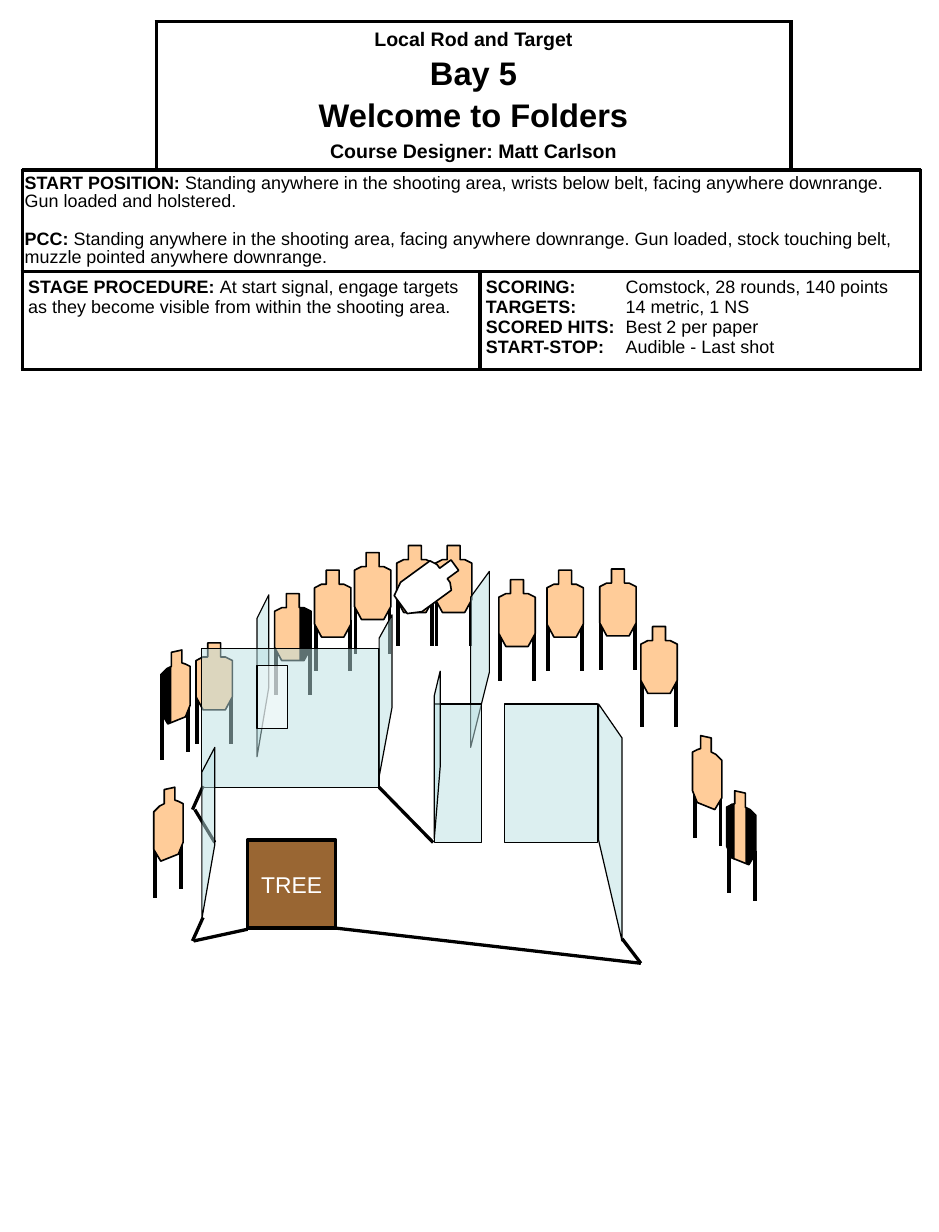
from lxml import etree
from pptx import Presentation
from pptx.dml.color import RGBColor
from pptx.enum import shapes as kinds, text
from pptx.oxml import ns
from pptx.util import Inches, Pt

BLACK = RGBColor(0x00, 0x00, 0x00)
WHITE = RGBColor(0xFF, 0xFF, 0xFF)
TAN = RGBColor(0xFF, 0xCC, 0x99)
GLASS = RGBColor(0xBB, 0xE0, 0xE3)
BROWN = RGBColor(0x99, 0x66, 0x33)
FONT = "Arial"

# Table content: paragraphs of (bold part, plain part, size, space before)
HEADING = [("Local Rod and Target", "", 12, 0), ("Bay 5", "", 20, 3.5),
           ("Welcome to Folders", "", 20, 3.5),
           ("Course Designer: Matt Carlson", "", 12, 3.5)]
START = [("START POSITION:", " Standing anywhere in the shooting area, wrists below belt, "
          "facing anywhere downrange. Gun loaded and holstered.", 11, 0),
         ("PCC: ", "Standing anywhere in the shooting area, facing anywhere downrange. "
          "Gun loaded, stock touching belt, muzzle pointed anywhere downrange.", 11, 12.5)]
PROCEDURE = [("STAGE PROCEDURE: ", "At start signal, engage targets as they become "
              "visible from within the shooting area.", 11, 0)]
SCORING = [(label, "\t" + value, 11, 0) for label, value in (
    ("SCORING:", "Comstock, 28 rounds, 140 points"), ("TARGETS:", "14 metric, 1 NS"),
    ("SCORED HITS:", "Best 2 per paper"), ("START-STOP:", "Audible - Last shot"))]
COLUMNS, ROWS = (1.14, 2.76, 2.65, 1.1), (1.27, 0.86, 0.83)
# (row, first column, last column, paragraphs, margins, paragraph format)
CELLS = [
    (0, 1, 2, HEADING, (0.05, 0.05), {"alignment": text.PP_ALIGN.CENTER}),
    (1, 0, 3, START, (0.02, 0.04), {"line_spacing": 0.9}),
    (2, 0, 1, PROCEDURE, (0.05, 0.05), {}),
    (2, 2, 3, SCORING, (0.05, 0.05), {}),
]

# Target outlines and legs (x, top, bottom), measured from the target's corner
FRONT = [(0.1, 0), (0.21, 0), (0.21, 0.12), (0.25, 0.12), (0.31, 0.15), (0.31, 0.46),
         (0.25, 0.57), (0.06, 0.57), (0, 0.46), (0, 0.15), (0.06, 0.12), (0.1, 0.12)]
FRONT_LEGS = [(0.01, 0.42, 0.86), (0.3, 0.42, 0.86)]
TURNED = [(0.09, 0.02), (0.18, 0), (0.18, 0.11), (0.21, 0.12), (0.25, 0.14), (0.25, 0.47),
          (0.21, 0.57), (0.06, 0.63), (0, 0.53), (0, 0.21), (0.05, 0.16), (0.09, 0.14)]
TURNED_LEGS = [(0.01, 0.51, 0.94), (0.23, 0.44, 0.87)]
TURNED_WIDTH = 0.25
# Hard cover painted on a target
FRONT_EDGE = [(0.21, 0.12), (0.21, 0.57), (0.25, 0.57), (0.31, 0.46), (0.31, 0.15), (0.25, 0.12)]
TURNED_NEAR = [(0, 0.54), (0.06, 0.63), (0.09, 0.62), (0.09, 0.14), (0.06, 0.15), (0, 0.22)]
TURNED_FAR = [(0.18, 0.11), (0.21, 0.11), (0.25, 0.15), (0.25, 0.47), (0.21, 0.57), (0.18, 0.59)]

# Stage parts from back to front
STAGE = [
    ("front", 2.34, 5.06, FRONT_EDGE),
    ("front", 3.71, 4.65),
    ("side wall", (4.01, 5.09, 6.37), (4.17, 4.87, 5.73)),
    ("front", 2.68, 4.86),
    ("front", 3.02, 4.71),
    ("front", 1.67, 5.48),
    ("side wall", (2.19, 5.27, 6.45), (2.29, 5.07, 5.86)),
    ("box", (2.11, 7.16, 0.75, 0.75), BROWN, 100, 2.25, "TREE"),
    ("box", (1.72, 5.53, 1.51, 1.18), GLASS, 50, 0.75, ""),
    ("box", (2.19, 5.67, 0.26, 0.54), WHITE, 50, 0.75, ""),
    ("turned", 1.31, 6.71),
    ("fault line", (1.64, 8.02), (1.73, 7.82)),
    ("fault line", (2.11, 7.92), (1.65, 8.02)),
    ("fault line", (1.64, 6.9), (1.73, 6.7)),
    ("fault line", (1.66, 6.9), (1.83, 7.18)),
    ("side wall", (1.72, 6.58, 7.83), (1.83, 6.37, 7.2)),
    ("side wall", (3.23, 5.44, 6.62), (3.34, 5.24, 6.03)),
    ("box", (3.7, 6, 0.4, 1.18), GLASS, 50, 0.75, ""),
    ("fault line", (3.23, 6.71), (3.69, 7.18)),
    ("side wall", (3.7, 5.93, 7.15), (3.75, 5.72, 6.54)),
    ("front", 3.38, 4.65),
    ("front", 4.25, 4.94),
    ("front", 4.66, 4.86),
    ("box", (4.3, 6, 0.79, 1.18), GLASS, 50, 0.75, ""),
    ("side wall", (5.1, 6, 7.16), (5.3, 6.29, 8.02)),
    ("fault line", (5.46, 8.21), (2.86, 7.91)),
    ("fault line", (5.3, 8), (5.46, 8.21)),
    ("front", 5.11, 4.85),
    ("front", 5.46, 5.34),
    ("mirrored", 5.9, 6.27),
    ("turned", 1.37, 5.54, TURNED_NEAR),
    ("no-shoot", 3.49, 4.7),
    ("mirrored", 6.19, 6.74, TURNED_NEAR, TURNED_FAR),
]


def paint(part, fill, opacity, width):
    part.shadow.inherit = False
    part.fill.solid()
    part.fill.fore_color.rgb = fill
    if opacity < 100:
        color = part.fill._xPr.find(".//" + ns.qn("a:srgbClr"))
        etree.SubElement(color, ns.qn("a:alpha")).set("val", str(opacity * 1000))
    if width:
        part.line.color.rgb = BLACK
        part.line.width = Pt(width)
    else:
        part.line.fill.background()
    return part


def outline(parent, points, fill, opacity, width):
    (x, y), *rest = [(Inches(px), Inches(py)) for px, py in points]
    builder = parent.build_freeform(x, y)
    builder.add_line_segments(rest, close=True)
    return paint(builder.convert_to_shape(), fill, opacity, width)


def line(parent, start, end, width):
    part = parent.add_connector(kinds.MSO_CONNECTOR.STRAIGHT, *map(Inches, start + end))
    part.line.color.rgb = BLACK
    part.line.width = Pt(width)
    etree.SubElement(part._element.spPr, ns.qn("a:effectLst"))


def target(parent, pose, left, top, *covers):
    body, legs = (FRONT, FRONT_LEGS) if pose == "front" else (TURNED, TURNED_LEGS)

    def across(x):
        return left + (TURNED_WIDTH - x if pose == "mirrored" else x)

    def place(points):
        return [(across(x), top + y) for x, y in points]

    group = parent.add_group_shape().shapes
    for x, leg_top, foot in legs:
        line(group, (across(x), top + leg_top), (across(x), top + foot), 2.25)
    outline(group, place(body), TAN, 100, 1)
    for cover in covers:
        outline(group, place(cover), BLACK, 100, 0)


def box(parent, place, fill, opacity, width, label):
    part = parent.add_shape(kinds.MSO_SHAPE.RECTANGLE, *map(Inches, place))
    paint(part, fill, opacity, width)
    if label:
        part.text_frame.vertical_anchor = text.MSO_ANCHOR.MIDDLE
        paragraph = part.text_frame.paragraphs[0]
        paragraph.alignment = text.PP_ALIGN.CENTER
        run = paragraph.add_run()
        run.text = label
        style(run, 14, WHITE, False)


def style(run, size, color, bold):
    for name, value in {"name": FONT, "size": Pt(size), "bold": bold}.items():
        setattr(run.font, name, value)
    run.font.color.rgb = color


def write(frame, paragraphs, layout):
    for i, (bold, plain, size, before) in enumerate(paragraphs):
        paragraph = frame.add_paragraph() if i else frame.paragraphs[0]
        for name, value in layout.items():
            setattr(paragraph, name, value)
        if before:
            paragraph.space_before = Pt(before)
        if plain.startswith("\t"):
            stops = etree.SubElement(paragraph._p.get_or_add_pPr(), ns.qn("a:tabLst"))
            etree.SubElement(stops, ns.qn("a:tab"), pos=str(Inches(1.19)), algn="l")
        for words, is_bold in ((bold, True), (plain, False)):
            if words:
                run = paragraph.add_run()
                run.text = words
                style(run, size, BLACK, is_bold)


def border(cell, sides):
    for side in sides:
        edge = etree.SubElement(cell._tc.get_or_add_tcPr(), ns.qn("a:ln" + side), w=str(Pt(2.25)))
        fill = etree.SubElement(edge, ns.qn("a:solidFill"))
        etree.SubElement(fill, ns.qn("a:srgbClr"), val=str(BLACK))


def briefing(parent):
    table = parent.add_table(len(ROWS), len(COLUMNS), Inches(0.19), Inches(0.18),
                             Inches(sum(COLUMNS)), Inches(sum(ROWS))).table
    table.first_row = table.horz_banding = False
    for column, width in zip(table.columns, COLUMNS):
        column.width = Inches(width)
    for row, height in zip(table.rows, ROWS):
        row.height = Inches(height)
    # The heading has an open corner on each side
    for r in range(len(ROWS)):
        for c in range(len(COLUMNS)):
            cell = table.cell(r, c)
            border(cell, {(0, 0): "RB", (0, 3): "LB"}.get((r, c), "LRTB"))
            cell.fill.solid()
            cell.fill.fore_color.rgb = WHITE
    for r, first, last, paragraphs, (side, end), layout in CELLS:
        cell = table.cell(r, first)
        cell.merge(table.cell(r, last))
        cell.margin_left = cell.margin_right = Inches(side)
        cell.margin_top = cell.margin_bottom = Inches(end)
        cell.vertical_anchor = text.MSO_ANCHOR.TOP if r else text.MSO_ANCHOR.MIDDLE
        write(cell.text_frame, paragraphs, layout)


def main():
    deck = Presentation()
    deck.slide_width, deck.slide_height = Inches(8), Inches(10.5)
    parts = deck.slides.add_slide(deck.slide_layouts[6]).shapes
    briefing(parts)
    for kind, *values in STAGE:
        if kind == "box":
            box(parts, *values)
        elif kind == "fault line":
            line(parts, *values, 2)
        elif kind == "side wall":
            (x1, top1, foot1), (x2, top2, foot2) = values
            outline(parts, [(x2, foot2), (x1, foot1), (x1, top1), (x2, top2)], GLASS, 50, 0.75)
        elif kind == "no-shoot":
            left, top = values
            outline(parts, [(left + x, top + y) for x, y in FRONT], WHITE, 100, 1).rotation = 53.9
        else:
            target(parts, kind, *values)
    deck.save("out.pptx")


if __name__ == "__main__":
    main()
